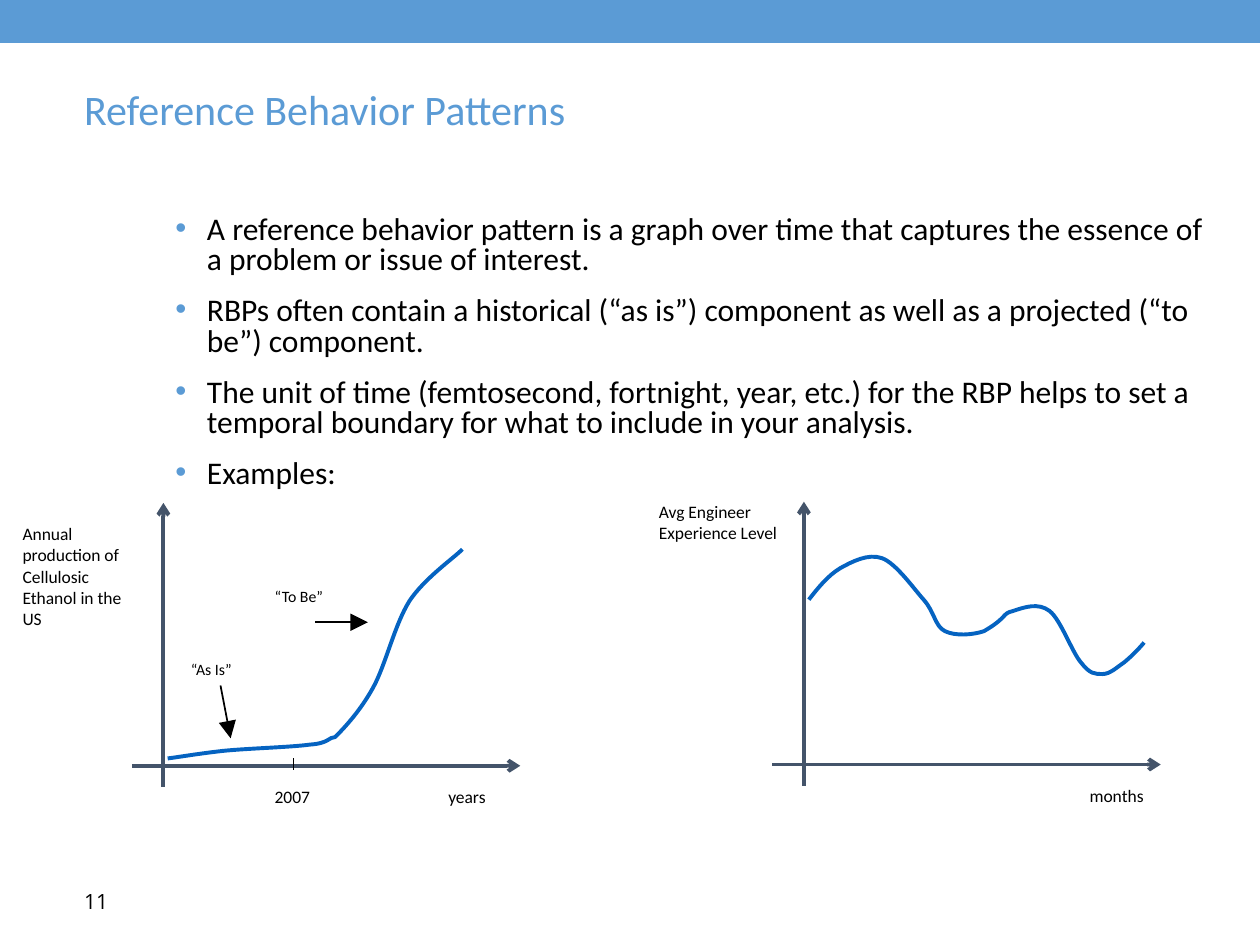
from lxml import etree
from pptx import Presentation
from pptx.dml.color import RGBColor
from pptx.enum.shapes import MSO_CONNECTOR as CONN, MSO_SHAPE as SHAPE
from pptx.enum.text import MSO_ANCHOR as ANCHOR, MSO_AUTO_SIZE as AUTO
from pptx.oxml import parse_xml
from pptx.oxml.ns import nsdecls, qn
from pptx.util import Pt

BLUE, BLACK, AXIS, CURVE = "5B9BD5", "000000", "44546A", "0563C1"

BULLETS = [
    "A reference behavior pattern is a graph over time that captures the essence of a problem or issue of interest.",
    "RBPs often contain a historical (“as is”) component as well as a projected (“to be”) component.",
    "The unit of time (femtosecond, fortnight, year, etc.) for the RBP helps to set a temporal boundary for what to include in your analysis.",
    "Examples:",
]

LABELS = [
    (["Annual production of", "Cellulosic Ethanol in the US"], (5.8, 295.6, 77.8, 67.7), 10, True),
    (["years"], (249.1, 445.7, 36, 19.4), 10, False),
    (["Avg Engineer", "Experience Level"], (369.4, 283, 82.8, 31.7), 10, False),
    (["months"], (615.6, 445, 45.4, 19.4), 10, False),
    (["“As Is”"], (102, 373.7, 38.9, 18), 9, False),
    (["“To Be”"], (149.8, 331.9, 42.5, 18), 9, False),
    (["2007"], (149.8, 445.7, 36.7, 19.4), 10, False),
]

ORIGINS = [(93.4, 437.6), (459.4, 436.9)]
POINTERS = [((126, 391.7), (131.8, 421.9)), ((180, 355.6), (210.2, 355.6))]
TICK = ((167.9, 433.4), (167.9, 439.9))

ETHANOL = [
    (95.8, 433.4),
    (101.5, 432.7), (113.8, 430.6), (127.4, 429.1),
    (141.1, 427.7), (166.3, 427), (177.1, 425.5),
    (187.9, 424.8), (187.9, 421.2), (191.5, 421.2),
    (197.3, 415.4), (205.9, 406.1), (213.1, 393.1),
    (220.3, 380.2), (225.4, 357.1), (234, 343.4),
    (242.6, 330.5), (259.2, 319), (264.2, 313.9),
]
EXPERIENCE = [
    (462.2, 342.7),
    (467.3, 336.2), (473, 329), (480.2, 324.7),
    (486.7, 321.1), (496.1, 316.1), (504, 319),
    (511.9, 321.8), (522, 336.2), (527.8, 342.7),
    (534.2, 349.9), (534.2, 357.8), (540, 360.7),
    (545.8, 363.6), (555.8, 362.9), (562.3, 360.7),
    (576, 352.8), (572.4, 350.6), (578.9, 349.2),
    (585.4, 347), (593.3, 344.2), (599.8, 349.2),
    (606.2, 354.2), (612.7, 373), (617.8, 378.7),
    (622.8, 385.2), (625.7, 385.2), (630, 385.2),
    (634.3, 385.2), (637.9, 381.6), (642.2, 378.7),
    (645.8, 375.8), (650.2, 371.5), (653.8, 367.2),
]


def color(value):
    return RGBColor.from_string(value)


def add_text(lines, box, size, fill=BLACK, font="Calibri", wrap=True, anchor=ANCHOR.TOP, spacing=None):
    tf = s.shapes.add_textbox(*map(Pt, box)).text_frame
    tf.word_wrap = wrap
    tf.vertical_anchor = anchor
    tf.text = "\n".join(lines)
    for p in tf.paragraphs:
        p.font.size = Pt(size)
        p.font.name = font
        p.font.color.rgb = color(fill)
        p.line_spacing = spacing
    return tf


def add_bullet(p):
    pPr = p._p.get_or_add_pPr()
    pPr.set("marL", str(Pt(18)))
    pPr.set("indent", str(Pt(-18)))
    bullet = (
        f'<a:buClr {nsdecls("a")}><a:srgbClr val="{BLUE}"/></a:buClr>',
        f'<a:buFont {nsdecls("a")} typeface="Arial"/>',
        f'<a:buChar {nsdecls("a")} char="•"/>',
    )
    at = pPr.index(pPr.find(qn("a:defRPr")))
    for i, xml in enumerate(bullet):
        pPr.insert(at + i, parse_xml(xml))


def add_line(start, end, fill, width, arrow=None, size="med"):
    line = s.shapes.add_connector(CONN.STRAIGHT, *map(Pt, start + end))
    line.line.color.rgb = color(fill)
    line.line.width = Pt(width)
    if arrow:
        ln = line.line._get_or_add_ln()
        etree.SubElement(ln, qn("a:tailEnd"), type=arrow, w=size, len=size)
    etree.SubElement(line._element.spPr, qn("a:effectLst"))


def add_curve(points):
    builder = s.shapes.build_freeform(*map(Pt, points[0]))
    builder.add_line_segments([tuple(map(Pt, point)) for point in points[1:]], close=False)
    sp = builder.convert_to_shape()
    segments = list(sp._element.iter(qn("a:lnTo")))
    outline = segments[0].getparent()
    for i in range(0, len(segments), 3):
        bezier = etree.SubElement(outline, qn("a:cubicBezTo"))
        for segment in segments[i:i + 3]:
            bezier.append(segment[0])
            outline.remove(segment)
    sp.shadow.inherit = False
    sp.fill.background()
    sp.line.color.rgb = color(CURVE)
    sp.line.width = Pt(2.25)


prs = Presentation()
prs.slide_width, prs.slide_height = Pt(720), Pt(540)
s = prs.slides.add_slide(prs.slide_layouts[6])

band = s.shapes.add_shape(SHAPE.RECTANGLE, 0, 0, prs.slide_width, Pt(24.5))
band.shadow.inherit = False
band.fill.solid()
band.fill.fore_color.rgb = color(BLUE)
band.line.fill.background()

add_text(["11"], (41, 500.4, 90.7, 28.8), 12, font="Open Sans", anchor=ANCHOR.MIDDLE)
add_text(["Reference Behavior Patterns"], (41, 43.2, 638.6, 41.8), 24, BLUE, anchor=ANCHOR.MIDDLE, spacing=0.9)
body = add_text(BULLETS, (93.2, 120, 612, 174.2), 18, spacing=0.8)
for p in body.paragraphs:
    p.space_before = Pt(12)
    add_bullet(p)

for x, y in ORIGINS:
    add_line((x, y + 12), (x, y - 150.2), AXIS, 2.25, "arrow")
    add_line((x - 18, y), (x + 203.9, y), AXIS, 2.25, "arrow")
for start, end in POINTERS:
    add_line(start, end, BLACK, 1, "triangle", "lg")
for curve in (ETHANOL, EXPERIENCE):
    add_curve(curve)
add_line(*TICK, BLACK, 0.75)
for lines, box, size, wrap in LABELS:
    add_text(lines, box, size, wrap=wrap).auto_size = AUTO.SHAPE_TO_FIT_TEXT

prs.save("out.pptx")
